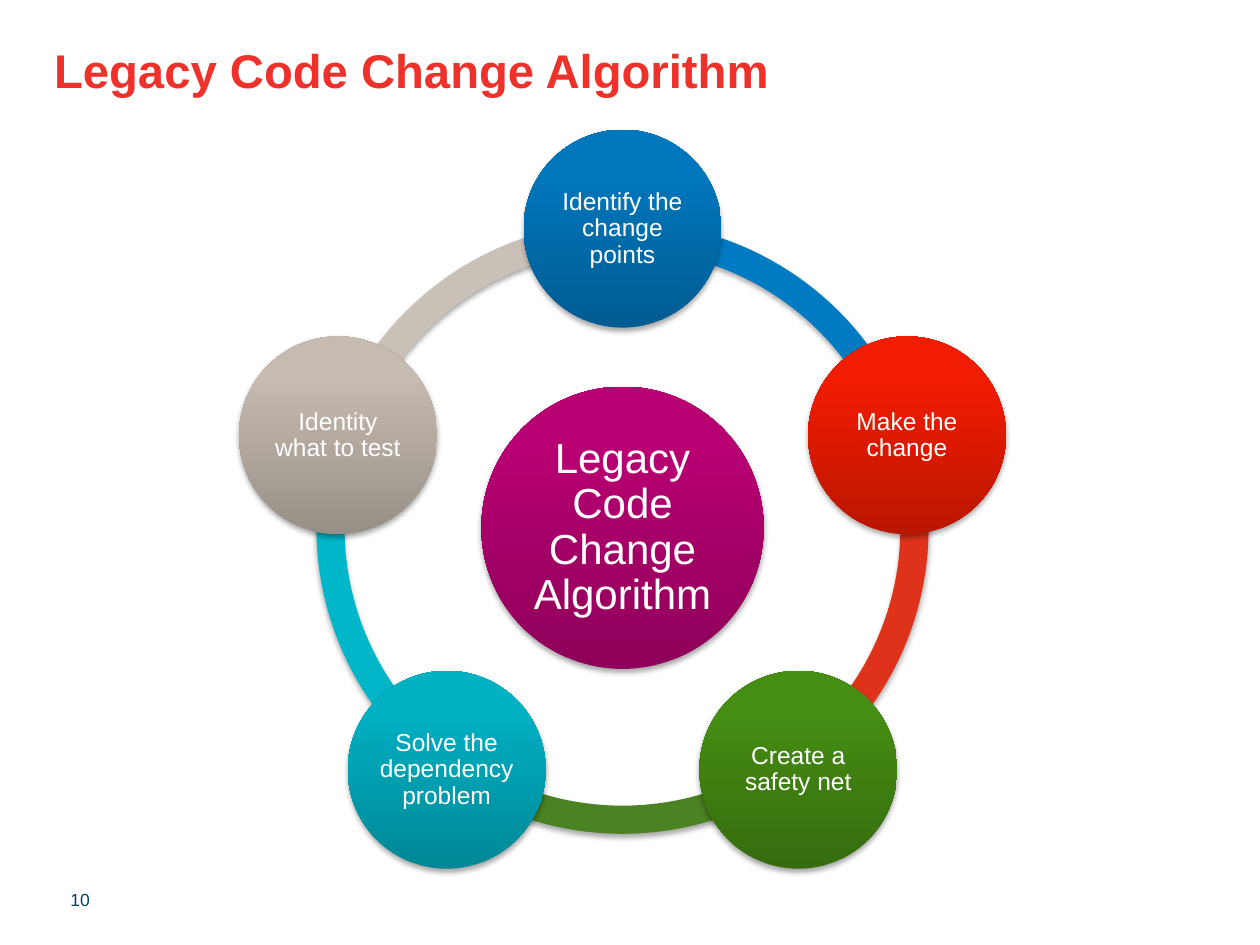
"""Build the Legacy Code Change Algorithm cycle slide."""
from math import cos, radians, sin

from lxml.etree import SubElement
from pptx import Presentation
from pptx.dml.color import RGBColor
from pptx.enum.shapes import MSO_SHAPE
from pptx.enum.text import MSO_ANCHOR, PP_ALIGN
from pptx.oxml.ns import qn
from pptx.util import Cm, Pt

RED = RGBColor(0xEE, 0x31, 0x2A)
NAVY = RGBColor(0x00, 0x42, 0x5F)
WHITE = RGBColor(0xFF, 0xFF, 0xFF)
MAGENTAS = [RGBColor.from_string(c) for c in ("8E0059", "B80073", "B90074")]
BLUES = [RGBColor.from_string(c) for c in ("005C92", "0077BD", "0078BE")]
REDS = [RGBColor.from_string(c) for c in ("BB1600", "F21C00", "F31D00")]
GREENS = [RGBColor.from_string(c) for c in ("356D0F", "458D13", "459011")]
TEALS = [RGBColor.from_string(c) for c in ("008896", "00B0C3", "00B1C4")]
GREYS = [RGBColor.from_string(c) for c in ("989087", "C5BBB0", "C7BCB0")]
ARC_BLUE = RGBColor(0x00, 0x7B, 0xC3)
ARC_RED = RGBColor(0xDF, 0x32, 0x1B)
ARC_GREEN = RGBColor(0x4A, 0x83, 0x22)
ARC_TEAL = RGBColor(0x00, 0xB6, 0xC9)
ARC_GREY = RGBColor(0xC9, 0xC1, 0xB8)

CX, CY = 12.55, 10.64
RING, ORBIT, NODE, HUB = 12.34, 6.03, 3.99, 5.69
STEP = 72


def add_round(kind, x, y, size):
    sp = s.shapes.add_shape(kind, Cm(x - size / 2), Cm(y - size / 2), Cm(size), Cm(size))
    sp.line.fill.background()
    sp.shadow.inherit = False
    effects = sp._element.spPr.find(qn("a:effectLst"))
    shadow = SubElement(effects, qn("a:outerShdw"), blurRad="40000", dist="23000",
                        dir="5400000", rotWithShape="0")
    color = SubElement(shadow, qn("a:srgbClr"), val="000000")
    SubElement(color, qn("a:alpha"), val="35000")
    return sp


def add_circle(x, y, size, text, points, inset, colors):
    sp = add_round(MSO_SHAPE.OVAL, x, y, size)
    sp.fill.gradient()
    sp.fill.gradient_angle = 90
    stops = sp._element.spPr.find(qn("a:gradFill")).find(qn("a:gsLst"))
    for stop in list(stops):
        stops.remove(stop)
    for pos, color in zip((0, 80, 100), colors):
        stop = SubElement(stops, qn("a:gs"), pos=str(pos * 1000))
        SubElement(stop, qn("a:srgbClr"), val=str(color))
    tf = sp.text_frame
    tf.word_wrap = True
    tf.vertical_anchor = MSO_ANCHOR.MIDDLE
    tf.margin_left = tf.margin_right = tf.margin_top = tf.margin_bottom = Cm(inset)
    p = tf.paragraphs[0]
    p.text = text
    p.alignment = PP_ALIGN.CENTER
    p.line_spacing = 0.9
    p.font.name, p.font.size, p.font.color.rgb = "Arial", Pt(points), WHITE


prs = Presentation()
prs.slide_width, prs.slide_height = Cm(25.4), Cm(19.05)
s = prs.slides.add_slide(prs.slide_layouts[6])

labels = [
    ("Legacy Code Change Algorithm", 1.09, 0.84, 20.6, 1.14, 0, 27, True, RED),
    ("10", 1.17, 17.63, 2.24, 1.02, 0.25, 10, False, NAVY),
]
for text, x, y, w, h, inset, points, bold, color in labels:
    tf = s.shapes.add_textbox(Cm(x), Cm(y), Cm(w), Cm(h)).text_frame
    tf.word_wrap = True
    tf.vertical_anchor = MSO_ANCHOR.MIDDLE
    tf.margin_left = tf.margin_right = Cm(inset)
    tf.margin_top = tf.margin_bottom = Cm(inset / 2)
    p = tf.paragraphs[0]
    p.text = text
    p.font.name, p.font.size, p.font.bold = "Arial", Pt(points), bold
    p.font.color.rgb = color

steps = [
    ("Identify the change points", BLUES, ARC_BLUE),
    ("Make the change", REDS, ARC_RED),
    ("Create a safety net", GREENS, ARC_GREEN),
    ("Solve the dependency problem", TEALS, ARC_TEAL),
    ("Identity what to test", GREYS, ARC_GREY),
]
for i, (text, colors, arc_color) in reversed(list(enumerate(steps))):
    sp = add_round(MSO_SHAPE.BLOCK_ARC, CX, CY, RING)
    start = (270 + STEP * i) % 360
    sp.adjustments[0] = start * 0.6
    sp.adjustments[1] = (start + STEP) % 360 * 0.6
    sp.adjustments[2] = 0.046
    sp.fill.solid()
    sp.fill.fore_color.rgb = arc_color

add_circle(CX, CY, HUB, "Legacy Code Change Algorithm", 24, 0.08, MAGENTAS)
for i, (text, colors, arc_color) in enumerate(steps):
    angle = radians(270 + STEP * i)
    add_circle(CX + ORBIT * cos(angle), CY + ORBIT * sin(angle), NODE, text, 14, 0.05, colors)

prs.save("out.pptx")
